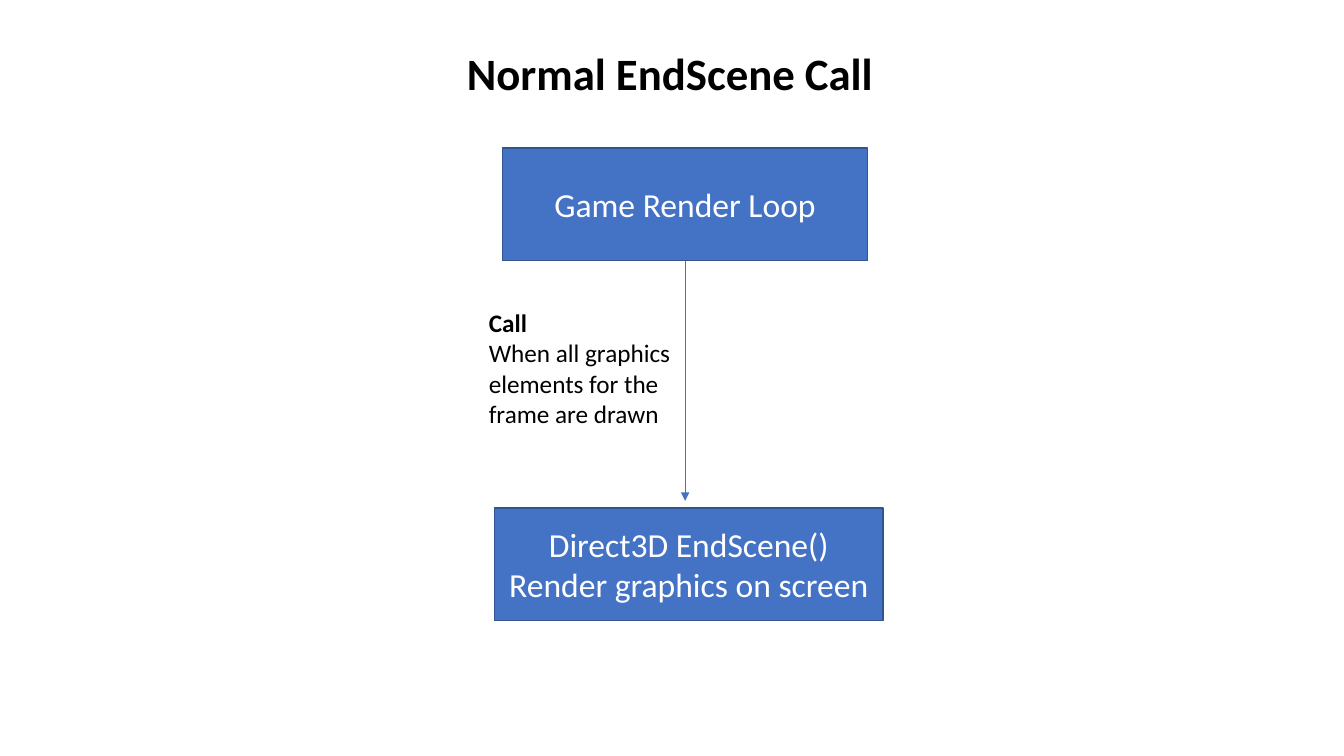
"""Build a slide showing the normal EndScene call flow."""

import dataclasses

import lxml.etree
import pptx
import pptx.dml.color
import pptx.enum.shapes
import pptx.enum.text
import pptx.oxml.ns
import pptx.shapes.autoshape
import pptx.shapes.connector
import pptx.slide
import pptx.text.text
import pptx.util

Cm = pptx.util.Cm
Pt = pptx.util.Pt
RGBColor = pptx.dml.color.RGBColor
Align = pptx.enum.text.PP_ALIGN
Anchor = pptx.enum.text.MSO_ANCHOR

BLUE = RGBColor(0x44, 0x72, 0xC4)
DARK_BLUE = RGBColor(0x32, 0x54, 0x91)
WHITE = RGBColor(0xFF, 0xFF, 0xFF)
BLACK = RGBColor(0x00, 0x00, 0x00)
FONT = "Calibri"
TITLE_ONLY = 5


@dataclasses.dataclass(frozen=True)
class TextLine:
    """One paragraph and its character format."""

    text: str
    size: int
    color: RGBColor
    bold: bool = False


@dataclasses.dataclass(frozen=True)
class Step:
    """A box in the call flow, with lengths in centimetres."""

    left: float
    top: float
    width: float
    height: float
    lines: tuple[str, ...]


STEPS = (
    Step(12.67, 3.73, 9.19, 2.84, ("Game Render Loop",)),
    Step(12.47, 12.8, 9.78, 2.84, ("Direct3D EndScene()", "Render graphics on screen")),
)
CALL_NOTE = (
    TextLine("Call", 18, BLACK, True),
    TextLine("When all graphics elements for the frame are drawn", 18, BLACK),
)


def write_lines(frame: pptx.text.text.TextFrame, lines: tuple[TextLine, ...], align: Align) -> None:
    """Fill a text frame with one paragraph per line."""
    for index, line in enumerate(lines):
        paragraph = frame.add_paragraph() if index else frame.paragraphs[0]
        paragraph.alignment = align
        run = paragraph.add_run()
        run.text = line.text
        run.font.name = FONT
        run.font.size = Pt(line.size)
        run.font.bold = line.bold
        run.font.color.rgb = line.color


def write_title(slide: pptx.slide.Slide) -> None:
    """Place and format the title placeholder."""
    title = slide.shapes.title
    title.left, title.top, title.width, title.height = Cm(11.51), Cm(1.02), Cm(10.85), Cm(1.63)
    frame = title.text_frame
    frame.word_wrap = False
    frame.auto_size = pptx.enum.text.MSO_AUTO_SIZE.SHAPE_TO_FIT_TEXT
    frame.vertical_anchor = Anchor.TOP
    write_lines(frame, (TextLine("Normal EndScene Call", 32, BLACK, True),), Align.LEFT)


def draw_step(slide: pptx.slide.Slide, step: Step) -> pptx.shapes.autoshape.Shape:
    """Draw a labelled box for a step."""
    box = slide.shapes.add_shape(
        pptx.enum.shapes.MSO_SHAPE.RECTANGLE,
        Cm(step.left), Cm(step.top), Cm(step.width), Cm(step.height),
    )
    box.shadow.inherit = False
    box.fill.solid()
    box.fill.fore_color.rgb = BLUE
    box.line.color.rgb = DARK_BLUE
    box.line.width = Pt(1)
    box.text_frame.word_wrap = True
    box.text_frame.vertical_anchor = Anchor.MIDDLE
    write_lines(box.text_frame, tuple(TextLine(text, 24, WHITE) for text in step.lines), Align.CENTER)
    return box


def draw_call_arrow(
    slide: pptx.slide.Slide,
    caller: pptx.shapes.autoshape.Shape,
    callee: pptx.shapes.autoshape.Shape,
) -> pptx.shapes.connector.Connector:
    """Draw a vertical arrow from the caller to just above the callee."""
    center = caller.left + caller.width // 2
    arrow = slide.shapes.add_connector(
        pptx.enum.shapes.MSO_CONNECTOR.STRAIGHT,
        center, caller.top + caller.height, center, callee.top - Cm(0.18),
    )
    arrow.line.color.rgb = BLUE
    arrow.line.width = Pt(0.5)
    qn = pptx.oxml.ns.qn
    lxml.etree.SubElement(arrow.line._get_or_add_ln(), qn("a:tailEnd"), type="triangle")
    lxml.etree.SubElement(arrow._element.spPr, qn("a:effectLst"))
    return arrow


def write_call_note(slide: pptx.slide.Slide) -> None:
    """Write the note to the left of the call arrow."""
    note = slide.shapes.add_textbox(Cm(12.07), Cm(7.62), Cm(5.21), Cm(3.33))
    note.text_frame.word_wrap = True
    note.text_frame.auto_size = pptx.enum.text.MSO_AUTO_SIZE.SHAPE_TO_FIT_TEXT
    write_lines(note.text_frame, CALL_NOTE, Align.LEFT)


def main() -> None:
    """Build and save the presentation."""
    presentation = pptx.Presentation()
    presentation.slide_width = Cm(33.87)
    presentation.slide_height = Cm(19.05)
    slide = presentation.slides.add_slide(presentation.slide_layouts[TITLE_ONLY])
    write_title(slide)
    render_loop, end_scene = [draw_step(slide, step) for step in STEPS]
    draw_call_arrow(slide, render_loop, end_scene)
    write_call_note(slide)
    presentation.save("out.pptx")


main()
